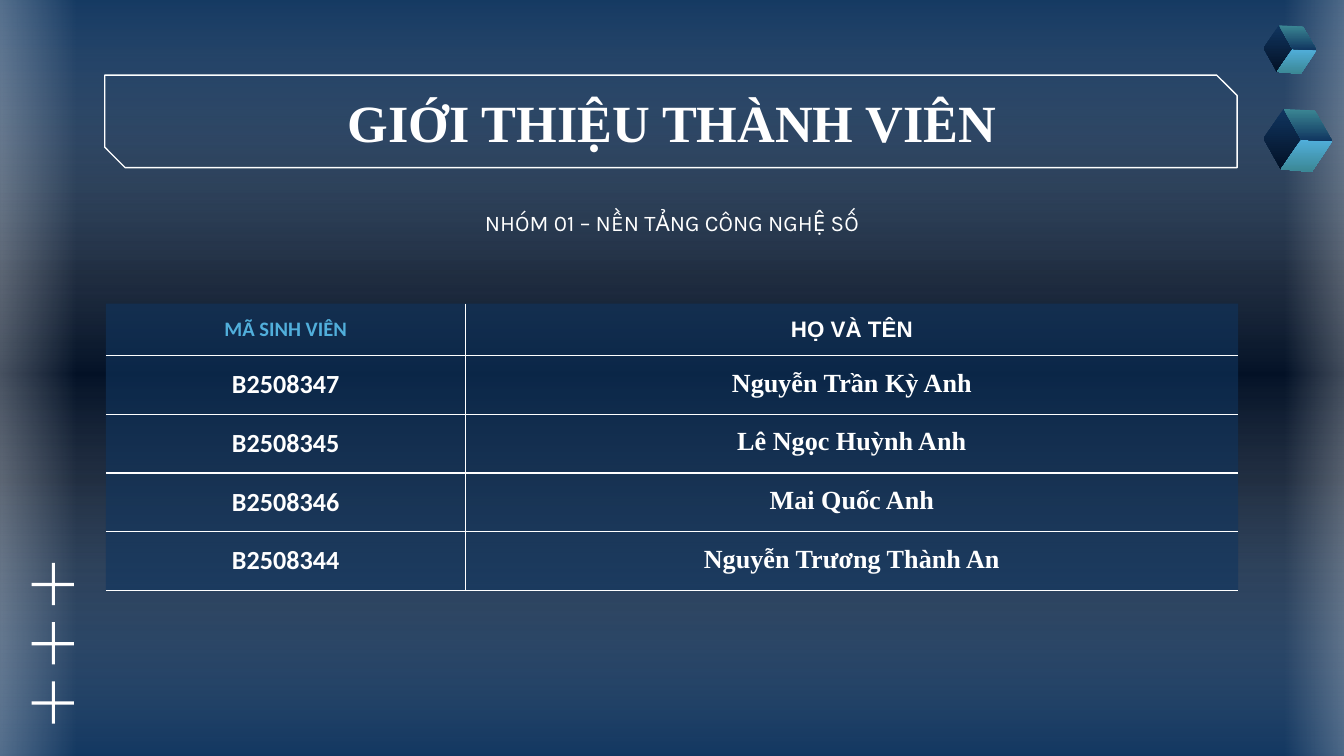
from dataclasses import dataclass

from lxml.etree import SubElement as Sub
from pptx import Presentation
from pptx.dml.color import RGBColor as RGB
from pptx.enum.shapes import MSO_SHAPE as Kind
from pptx.enum.text import MSO_ANCHOR as Anchor, MSO_AUTO_SIZE as Fit, PP_ALIGN as Align
from pptx.oxml.ns import qn
from pptx.oxml.xmlchemy import OxmlElement as Node
from pptx.util import Cm, Pt


@dataclass(frozen=True)
class Theme:
    navy: str = "10355F"
    dark: str = "031126"
    white: str = "FFFFFF"
    sky: str = "51AFDB"
    teal: str = "3B8794"
    serif: str = "Times New Roman"
    sans: str = "Calibri"
    plain: str = "Arial"
    light: str = "Karla"
    big: int = 28
    body: int = 14
    note: int = 12
    small: int = 11
    rule: float = 0.75
    glass: int = 59
    haze: int = 47


T = Theme()
SIDE, WIDE = 2, 21.4
ROWS = [
    ("B2508347", "Nguyễn Trần Kỳ Anh"),
    ("B2508345", "Lê Ngọc Huỳnh Anh"),
    ("B2508346", "Mai Quốc Anh"),
    ("B2508344", "Nguyễn Trương Thành An"),
]


def tint(node, color, alpha=100):
    rgb = Sub(node, qn("a:srgbClr"), val=color)
    if alpha < 100:
        Sub(rgb, qn("a:alpha"), val=str(alpha * 1000))


def blend(fill, root, stops, angle=90):
    fill.solid()
    grad = Node("a:gradFill")
    grad.set("rotWithShape", "1")
    marks = Sub(grad, qn("a:gsLst"))
    for pos, color, alpha in stops:
        tint(Sub(marks, qn("a:gs"), pos=str(pos * 1000)), color, alpha)
    Sub(grad, qn("a:lin"), ang=str(angle * 60000), scaled="0")
    old = next(root.iter(qn("a:solidFill")))
    old.getparent().replace(old, grad)


def block(shapes, box, kind=Kind.RECTANGLE):
    shape = shapes.add_shape(kind, *map(Cm, box))
    shape.shadow.inherit = False
    shape.line.fill.background()
    return shape


def veil(slide, box, stops, angle):
    shape = block(slide.shapes, box)
    blend(shape.fill, shape._element, stops, angle)


def write(frame, text, font, size, color=T.white, bold=True):
    par = frame.paragraphs[0]
    par.alignment = Align.CENTER
    run = par.add_run()
    run.text = text
    run.font.name = font
    run.font.size = Pt(size)
    run.font.bold = bold
    run.font.color.rgb = RGB.from_string(color)


def pad(item):
    item.margin_left = item.margin_right = Cm(0.25)
    item.margin_top = item.margin_bottom = Cm(0.25)


def label(box, place, anchor, *style):
    box.left, box.top, box.width, box.height = map(Cm, place)
    frame = box.text_frame
    frame.word_wrap = True
    frame.auto_size = Fit.NONE
    frame.vertical_anchor = anchor
    pad(frame)
    write(frame, *style)


def heading(slide):
    frame = block(slide.shapes, (1.98, 1.42, WIDE, 1.75), Kind.SNIP_2_DIAG_RECTANGLE)
    frame.adjustments[0], frame.adjustments[1] = 0, 0.221
    frame.fill.background()
    frame.line.color.rgb = RGB.from_string(T.white)
    frame.line.width = Pt(T.rule)
    title = slide.shapes.title
    slide.shapes._spTree.append(title._element)
    label(title, (SIDE, 1.5, WIDE, 1.6), Anchor.MIDDLE,
          "GIỚI THIỆU THÀNH VIÊN", T.serif, T.big)
    note = slide.shapes.add_textbox(0, 0, 0, 0)
    label(note, (SIDE, 3.71, WIDE, 1.6), Anchor.TOP,
          "NHÓM 01 – NỀN TẢNG CÔNG NGHỆ SỐ", T.light, T.note, T.white, False)


def edge(cell, sides):
    props = cell._tc.get_or_add_tcPr()
    for spot, side in enumerate("LRTB"):
        line = Node(f"a:ln{side}")
        line.set("w", str(Pt(T.rule)))
        if side in sides:
            tint(Sub(line, qn("a:solidFill")), T.white)
        else:
            Sub(line, qn("a:noFill"))
        props.insert(spot, line)


def roster(slide):
    heights = [0.98] + [1.11] * len(ROWS)
    table = slide.shapes.add_table(len(heights), 2, Cm(SIDE), Cm(5.74),
                                   Cm(WIDE), Cm(sum(heights))).table
    table.horz_banding = False
    for col, width in zip(table.columns, (6.8, 14.6)):
        col.width = Cm(width)
    for row, height in zip(table.rows, heights):
        row.height = Cm(height)
    heads = [("MÃ SINH VIÊN", T.sans, T.small, T.sky), ("HỌ VÀ TÊN", T.plain, T.note)]
    lines = [heads] + [[(code, T.sans, T.body), (name, T.serif, T.body)]
                       for code, name in ROWS]
    for i, line in enumerate(lines):
        for j, style in enumerate(line):
            cell = table.cell(i, j)
            pad(cell)
            write(cell.text_frame, *style)
            cell.fill.solid()
            cell.fill.fore_color.rgb = RGB.from_string(T.navy)
            shade = cell._tc.tcPr.find(qn("a:solidFill"))
            Sub(shade[0], qn("a:alpha"), val=str(T.glass * 1000))
            edge(cell, "RL"[j] + ("TB" if i else "B"))


def plus(group, top):
    for box in ((0.6, top + 0.38, 0.8, 0.06), (0.98, top, 0.06, 0.8)):
        bar = block(group.shapes, box)
        bar.fill.solid()
        bar.fill.fore_color.rgb = RGB.from_string(T.white)


def cube(slide, left, top, scale):
    peak, west, base, mid = (0.38, 0), (0, 0.56), (0.33, 1.14), (0.71, 0.58)
    east, back, foot = (1.3, 0.61), (0.97, 0.03), (0.91, 1.19)
    faces = [
        ((peak, west, base, mid), T.navy, T.dark),
        ((mid, east, foot, base), T.sky, T.teal),
        ((peak, back, east, mid), T.teal, T.navy),
    ]
    group = slide.shapes.add_group_shape()
    for points, start, end in faces:
        dots = [(Cm(left + x * scale), Cm(top + y * scale)) for x, y in points]
        pen = group.shapes.build_freeform(*dots[0])
        pen.add_line_segments(dots[1:], close=True)
        face = pen.convert_to_shape()
        face.shadow.inherit = False
        face.line.fill.background()
        blend(face.fill, face._element, [(0, start, 100), (100, end, 100)])


def main():
    deck = Presentation()
    deck.slide_width, deck.slide_height = Cm(25.4), Cm(14.29)
    slide = deck.slides.add_slide(deck.slide_layouts[5])
    blend(slide.background.fill, slide._element,
          [(0, T.navy, 100), (37, T.dark, 100), (63, T.dark, 100), (100, T.navy, 100)])
    veil(slide, (0, -0.33, 25.93, 14.76),
         [(0, T.navy, T.glass), (50, T.white, 0), (100, T.navy, T.glass)], 90)
    fade = [(0, T.white, T.haze), (100, T.white, 0)]
    veil(slide, (-1.04, -0.23, 2.49, 14.73), fade, 0)
    veil(slide, (24.28, -0.33, 2.16, 14.73), fade, 180)
    heading(slide)
    roster(slide)
    group = slide.shapes.add_group_shape()
    for i in range(3):
        plus(group, 10.64 + i * 1.12)
    cube(slide, 23.88, 2.06, 1)
    cube(slide, 23.88, 0.48, 0.77)
    deck.save("out.pptx")


if __name__ == "__main__":
    main()
